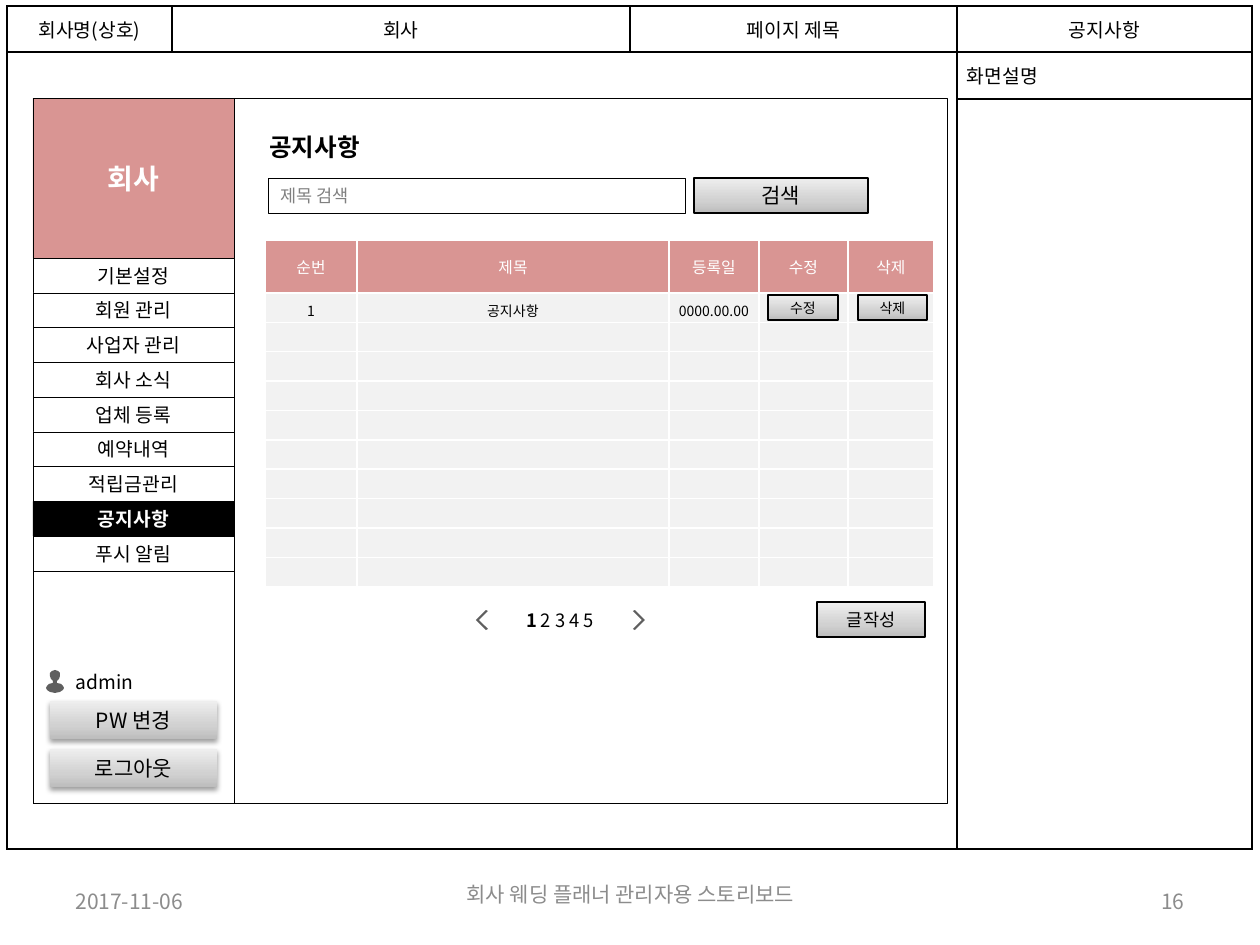
from dataclasses import dataclass

from lxml.etree import SubElement
from pptx import Presentation
from pptx.dml.color import RGBColor
from pptx.enum.shapes import MSO_SHAPE as SHAPE
from pptx.enum.text import MSO_ANCHOR as ANCHOR, PP_ALIGN as ALIGN
from pptx.oxml.ns import qn
from pptx.util import Emu, Pt


@dataclass(frozen=True)
class Theme:
    font: str = "Noto Sans CJK KR"
    black: str = "000000"
    white: str = "FFFFFF"
    rose: str = "D99593"
    row: str = "F2F2F2"
    muted: str = "8C8C8C"
    hint: str = "808080"
    icon: str = "5F5F5F"
    button: tuple = ((0, "BDBDBD"), (35, "D1D1D1"), (100, "EEEEEE"))
    logo: float = 16
    heading: float = 14
    large: float = 12
    body: float = 11
    pager: float = 10.5
    medium: float = 10
    header: float = 9
    small: float = 8
    hairline: float = 0.25
    line: float = 0.75
    border: float = 1


T = Theme()
SCALE = 914400 / 126
L, C, R = ALIGN.LEFT, ALIGN.CENTER, ALIGN.RIGHT

FRAME_X = (7, 172, 630, 957, 1252)
FRAME_Y = (6, 52, 99, 849)
FRAME_TEXT = ["회사명(상호)", "회사", "페이지 제목", "공지사항"]
FRAME_NOTE = "화면설명"

MENU = ["기본설정", "회원 관리", "사업자 관리", "회사 소식", "업체 등록",
        "예약내역", "적립금관리", "공지사항", "푸시 알림"]
ACTIVE = "공지사항"
SIDE_X, SIDE_W, MENU_TOP, MENU_BOTTOM = 33, 201, 258, 571

BOARD_X = (265, 357, 669, 759, 848, 934)
BOARD_TOP, BOARD_HEAD, BOARD_BOTTOM, BOARD_ROWS = 240, 53, 587, 10
BOARD_TEXT = [["순번", "제목", "등록일", "수정", "삭제"],
              ["1", "공지사항", "0000.00.00"]]

PANELS = [(33, 98, 914, 705), (33, 537, 201, 266)]
BUTTONS = [
    ("검색", (694, 178, 174, 35), T.large, False),
    ("글작성", (817, 602, 108, 35), T.medium, False),
    ("수정", (768, 295, 70, 25), T.small, False),
    ("삭제", (858, 295, 69, 25), T.small, False),
    ("PW 변경", (50, 701, 167, 38), T.large, True),
    ("로그아웃", (50, 749, 167, 38), T.large, True),
]
LABELS = [
    (["공지사항"], (257, 125, 314, 43), T.heading, T.black, L, True),
    (["admin"], (63, 664, 170, 35), T.body, T.black, L, False),
    (["1", " 2 3 4 5"], (489, 602, 142, 36), T.pager, T.black, C, True),
    (["2017-11-06"], (63, 876, 294, 50), T.large, T.muted, L, False),
    (["회사 웨딩 플래너 관리자용 스토리보드"], (431, 869, 399, 50),
     T.large, T.muted, C, False),
    (["16"], (903, 876, 294, 50), T.large, T.muted, R, False),
]
PREVIOUS = [(486, 630), (488, 629), (479, 620), (488, 611), (486, 610), (476, 620)]
PERSON_X = 55
PERSON_SIDE = [(0, 670), (3, 671), (5, 673), (5, 676), (4, 679), (2, 681), (2, 683),
               (6, 684), (8, 686), (9, 688), (8, 690), (5, 692), (0, 693)]


def px(n):
    return Emu(round(n * SCALE))


def rgb(color):
    return RGBColor.from_string(color)


def gaps(edges):
    return [b - a for a, b in zip(edges, edges[1:])]


def write(tf, parts, size, color, align=C, bold=False):
    p = tf.paragraphs[0]
    p.alignment = align
    for i, part in enumerate(parts):
        r = p.add_run()
        r.text = part
        r.font.size, r.font.name = Pt(size), T.font
        r.font.bold = bold and i == 0
        r.font.color.rgb = rgb(color)
        SubElement(r.font._element, qn("a:ea"), typeface=T.font)


def add_label(parts, box, size, color, align, bold):
    tf = slide.shapes.add_textbox(*map(px, box)).text_frame
    tf.word_wrap = True
    tf.vertical_anchor = ANCHOR.MIDDLE
    write(tf, parts, size, color, align, bold)


def add_box(box, fill=None, text=None, size=T.body, color=T.black, align=C,
            bold=False, width=T.hairline):
    sp = slide.shapes.add_shape(SHAPE.RECTANGLE, *map(px, box))
    sp.shadow.inherit = False
    if fill:
        sp.fill.solid()
        sp.fill.fore_color.rgb = rgb(fill)
    else:
        sp.fill.background()
    sp.line.color.rgb = rgb(T.black)
    sp.line.width = Pt(width)
    if text:
        sp.text_frame.vertical_anchor = ANCHOR.MIDDLE
        write(sp.text_frame, [text], size, color, align, bold)
    return sp


def add_button(text, box, size, raised):
    sp = add_box(box, T.white, text, size, width=T.line)
    sp.fill.gradient()
    sp.fill.gradient_angle = 90
    stops = sp._element.spPr.find(".//" + qn("a:gsLst"))
    for gs in list(stops):
        stops.remove(gs)
    for pos, color in T.button:
        gs = SubElement(stops, qn("a:gs"), pos=str(pos * 1000))
        SubElement(gs, qn("a:srgbClr"), val=color)
    if raised:
        sp.line.fill.background()
        effects = sp._element.spPr.find(qn("a:effectLst"))
        shadow = SubElement(effects, qn("a:outerShdw"), blurRad=str(Pt(3.1)),
                            dist=str(Pt(1.6)), dir="5400000", rotWithShape="0")
        color = SubElement(shadow, qn("a:srgbClr"), val=T.black)
        SubElement(color, qn("a:alpha"), val="38000")


def add_icon(points):
    fb = slide.shapes.build_freeform(*points[0], scale=SCALE)
    fb.add_line_segments(points[1:], close=True)
    sp = fb.convert_to_shape()
    sp.shadow.inherit = False
    sp.fill.solid()
    sp.fill.fore_color.rgb = rgb(T.icon)
    sp.line.fill.background()


def add_grid(x, y, widths, heights, border):
    table = slide.shapes.add_table(len(heights), len(widths), px(x), px(y),
                                   px(sum(widths)), px(sum(heights))).table
    table.first_row = table.horz_banding = False
    for col, w in zip(table.columns, widths):
        col.width = px(w)
    for row, h in zip(table.rows, heights):
        row.height = px(h)
    for cell in table.iter_cells():
        cell.vertical_anchor = ANCHOR.MIDDLE
        tcPr = cell._tc.get_or_add_tcPr()
        for side in ("lnL", "lnR", "lnT", "lnB"):
            ln = SubElement(tcPr, qn("a:" + side), w=str(Pt(T.border)))
            SubElement(SubElement(ln, qn("a:solidFill")), qn("a:srgbClr"), val=border)
        cell.fill.background()
    return table


def add_frame():
    table = add_grid(FRAME_X[0], FRAME_Y[0], gaps(FRAME_X), gaps(FRAME_Y), T.black)
    for c, text in enumerate(FRAME_TEXT):
        write(table.cell(0, c).text_frame, [text], T.body, T.black)
    note = table.cell(1, 3)
    note.margin_left = px(10)
    write(note.text_frame, [FRAME_NOTE], T.body, T.black, L)
    table.cell(1, 0).merge(table.cell(2, 2))


def add_board():
    row_h = (BOARD_BOTTOM - BOARD_TOP - BOARD_HEAD) / BOARD_ROWS
    table = add_grid(BOARD_X[0], BOARD_TOP, gaps(BOARD_X),
                     [BOARD_HEAD] + [row_h] * BOARD_ROWS, T.white)
    for i, cell in enumerate(table.iter_cells()):
        head = i < len(BOARD_TEXT[0])
        cell.fill.solid()
        cell.fill.fore_color.rgb = rgb(T.rose if head else T.row)
        cell.margin_left = cell.margin_right = cell.margin_bottom = 0
        cell.margin_top = 0 if head else px(5)
        end = cell.text_frame.paragraphs[0]._p.get_or_add_endParaRPr()
        end.set("sz", str(int(T.small * 100)))
    for r, (size, color) in enumerate([(T.header, T.white), (T.small, T.black)]):
        for c, text in enumerate(BOARD_TEXT[r]):
            write(table.cell(r, c).text_frame, [text], size, color)


prs = Presentation()
prs.slide_width, prs.slide_height = px(1260), px(945)
slide = prs.slides.add_slide(prs.slide_layouts[6])

add_frame()
for panel in PANELS:
    add_box(panel)
add_box((33, 98, 201, 160), T.rose, "회사", T.logo, T.white, bold=True)

step = (MENU_BOTTOM - MENU_TOP) / len(MENU)
for i, item in enumerate(MENU):
    on = item == ACTIVE
    add_box((SIDE_X, MENU_TOP + i * step, SIDE_W, step), T.black if on else T.white,
            item, color=T.white if on else T.black, bold=on)

add_board()
add_box((268, 178, 417, 35), T.white, "제목 검색", T.medium, T.hint, L)
for button in BUTTONS:
    add_button(*button)
for label in LABELS:
    add_label(*label)

add_icon(PREVIOUS)
add_icon([(1121 - x, y) for x, y in PREVIOUS])
add_icon([(PERSON_X + x, y) for x, y in PERSON_SIDE]
         + [(PERSON_X - x, y) for x, y in PERSON_SIDE[-2:0:-1]])

prs.save("out.pptx")
